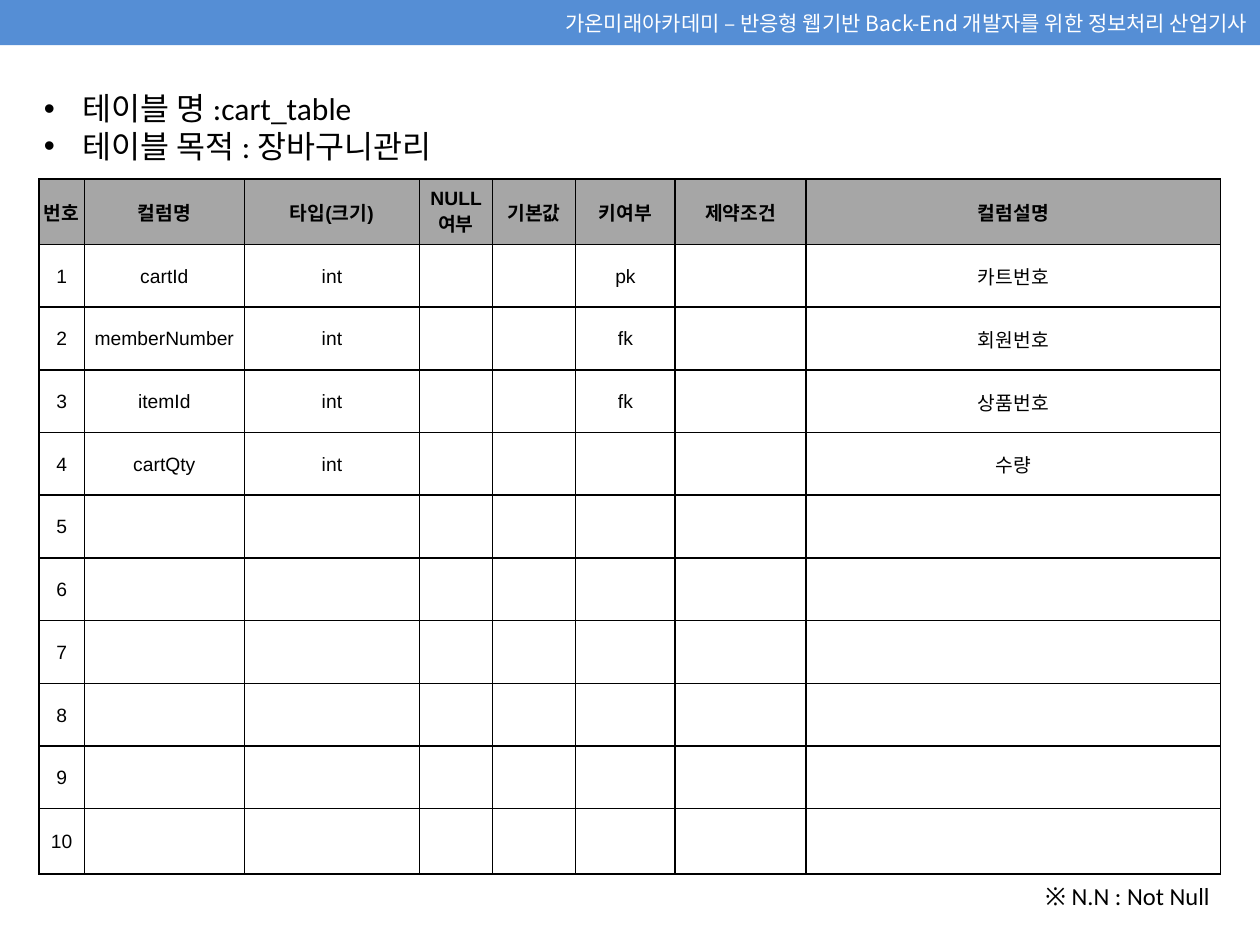
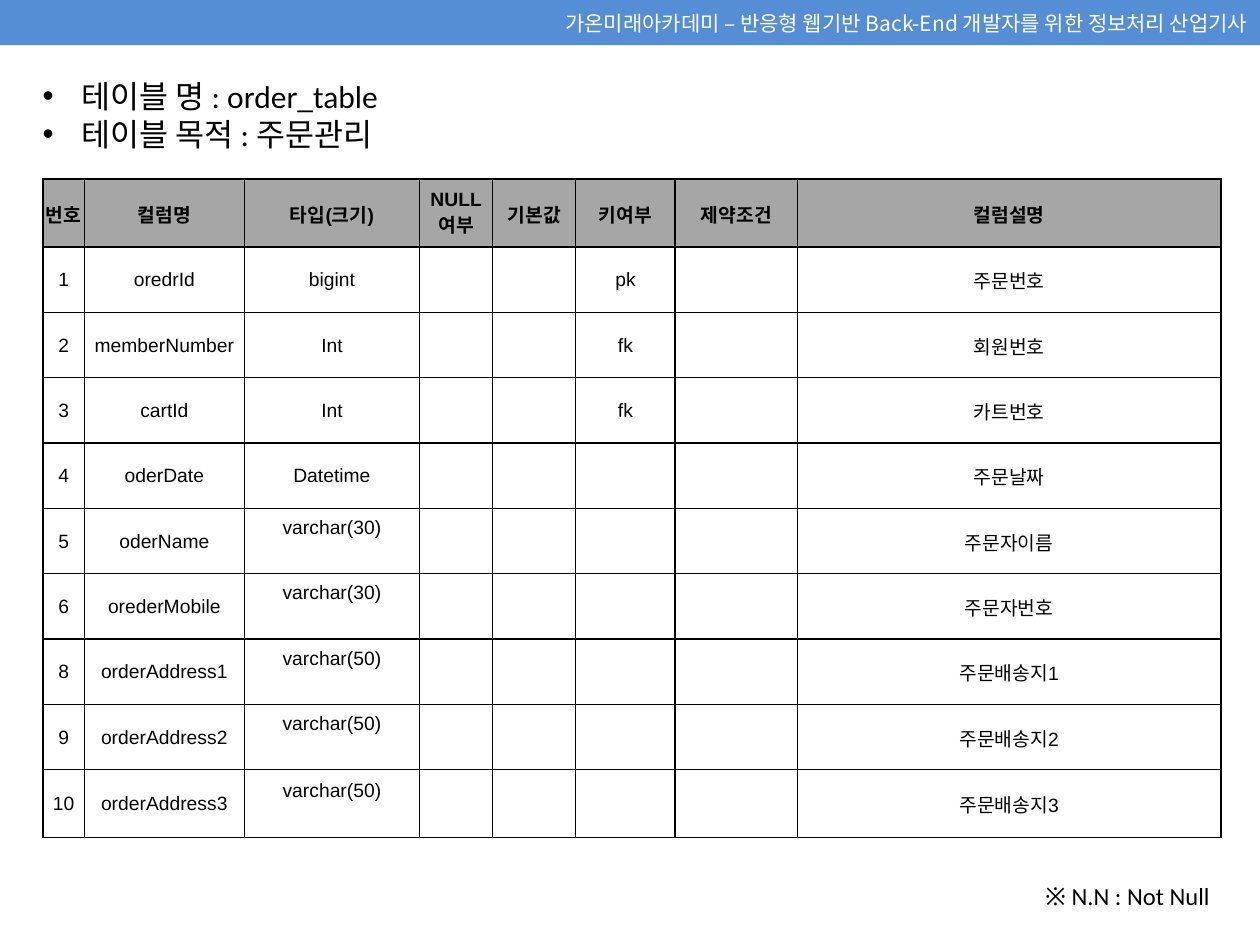
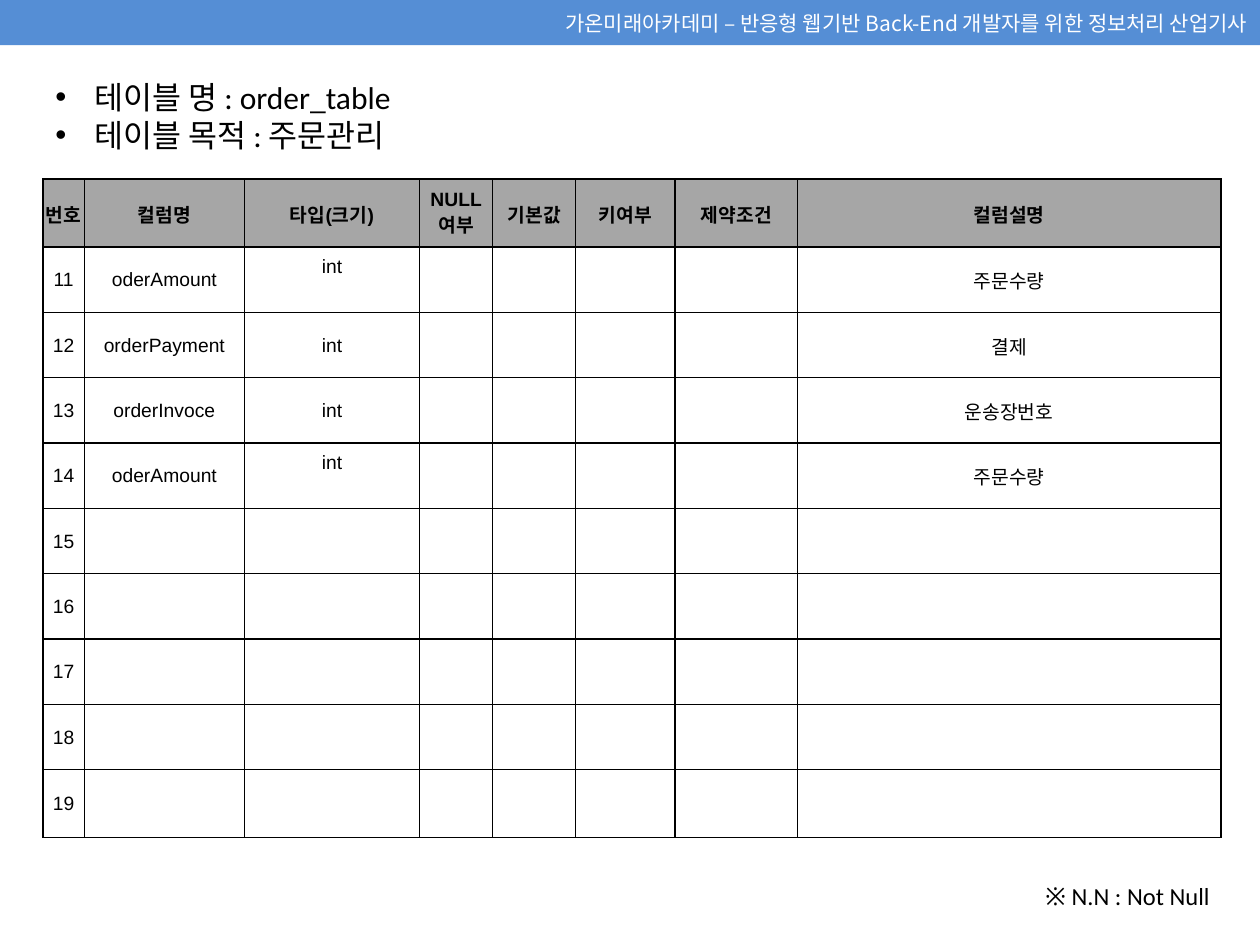
from lxml import etree
from pptx import Presentation
from pptx.dml.color import RGBColor
from pptx.enum.shapes import MSO_SHAPE
from pptx.enum.text import MSO_ANCHOR, MSO_AUTO_SIZE, PP_ALIGN
from pptx.oxml.ns import qn
from pptx.util import Inches, Pt

RECTANGLE = MSO_SHAPE.RECTANGLE
MIDDLE = MSO_ANCHOR.MIDDLE
FIT_SHAPE = MSO_AUTO_SIZE.SHAPE_TO_FIT_TEXT
LEFT, CENTER, RIGHT = PP_ALIGN.LEFT, PP_ALIGN.CENTER, PP_ALIGN.RIGHT

COLORS = {"band": "558ED5", "header": "A6A6A6", "text": "000000", "light": "FFFFFF"}
BODY_FONT, TABLE_FONT, KOREAN_FONT = "Calibri", "Arial", "Noto Sans CJK KR"
BLANK_LAYOUT = 6
GRID_COLUMNS, GRID_ROWS = 100, 75
TABLE_TOP = 14.2
TYPE_COLUMN = 2

BAND_TEXT = "가온미래아카데미 – 반응형 웹기반 Back-End 개발자를 위한 정보처리 산업기사"
NOTE_TEXT = "※ N.N : Not Null"
HEADERS = ["번호", "컬럼명", "타입(크기)", "NULL 여부", "기본값", "키여부", "제약조건", "컬럼설명"]

CART_GRID = {"left": 3.1, "height": 55.2, "edge": 5.2,
             "columns": [3.6, 12.7, 13.9, 5.8, 6.6, 7.9, 10.4, 32.9]}
ORDER_GRID = {"left": 3.4, "height": 52.3, "edge": 5.4,
              "columns": [3.3, 12.7, 13.9, 5.8, 6.6, 7.9, 9.7, 33.6]}

PAGES = [
    {"heading": (2.5, 6.6), "lines": ["테이블 명 :cart_table", "테이블 목적 : 장바구니관리"],
     "grid": CART_GRID, "numbers": range(1, 11), "raised": (),
     "fields": [("cartId", "int", "pk", "카트번호"),
                ("memberNumber", "int", "fk", "회원번호"),
                ("itemId", "int", "fk", "상품번호"),
                ("cartQty", "int", "", "수량")]},
    {"heading": (2.4, 5.6), "lines": ["테이블 명 : order_table", "테이블 목적 : 주문관리"],
     "grid": ORDER_GRID, "numbers": [1, 2, 3, 4, 5, 6, 8, 9, 10], "raised": (5, 6, 8, 9, 10),
     "fields": [("oredrId", "bigint", "pk", "주문번호"),
                ("memberNumber", "Int", "fk", "회원번호"),
                ("cartId", "Int", "fk", "카트번호"),
                ("oderDate", "Datetime", "", "주문날짜"),
                ("oderName", "varchar(30)", "", "주문자이름"),
                ("orederMobile", "varchar(30)", "", "주문자번호"),
                ("orderAddress1", "varchar(50)", "", "주문배송지1"),
                ("orderAddress2", "varchar(50)", "", "주문배송지2"),
                ("orderAddress3", "varchar(50)", "", "주문배송지3")]},
    {"heading": (3.4, 5.7), "lines": ["테이블 명 : order_table", "테이블 목적 : 주문관리"],
     "grid": ORDER_GRID, "numbers": range(11, 20), "raised": (11, 14),
     "fields": [("oderAmount", "int", "", "주문수량"),
                ("orderPayment", "int", "", "결제"),
                ("orderInvoce", "int", "", "운송장번호"),
                ("oderAmount", "int", "", "주문수량")]},
]


class SchemaDeck:
    """Holds the deck's style and current page; lengths are grid columns and rows."""

    def __init__(self):
        self.deck = Presentation()
        self.deck.slide_width, self.deck.slide_height = Inches(10), Inches(7.5)
        self.page = None

    def across(self, columns):
        return round(self.deck.slide_width * columns / GRID_COLUMNS)

    def down(self, rows):
        return round(self.deck.slide_height * rows / GRID_ROWS)

    def area(self, left, top, width, height):
        return self.across(left), self.down(top), self.across(width), self.down(height)

    def add_page(self):
        self.page = self.deck.slides.add_slide(self.deck.slide_layouts[BLANK_LAYOUT])

    def add_span(self, para, text, size, font, align=LEFT, color="text", bold=False):
        para.alignment = align
        span = para.add_run()
        span.text = text
        span.font.size, span.font.name, span.font.bold = Pt(size), font, bold
        span.font.color.rgb = RGBColor.from_string(COLORS[color])
        etree.SubElement(span.font._element, qn("a:ea"), typeface=KOREAN_FONT)

    def master_band(self):
        band = self.page.shapes.add_shape(RECTANGLE, *self.area(0, 0, GRID_COLUMNS, 3.6))
        band.shadow.inherit = False
        band.fill.solid()
        band.fill.fore_color.rgb = RGBColor.from_string(COLORS["band"])
        band.line.fill.background()
        band.text_frame.vertical_anchor = MIDDLE
        self.add_span(band.text_frame.paragraphs[0], BAND_TEXT, 12, KOREAN_FONT, RIGHT, "light")
        self.deck.slide_master.element.cSld.spTree.append(band.element)

    def text_box(self, area, lines, size, align=LEFT, bulleted=False):
        frame = self.page.shapes.add_textbox(*self.area(*area)).text_frame
        frame.word_wrap, frame.auto_size = True, FIT_SHAPE
        for index, line in enumerate(lines):
            para = frame.add_paragraph() if index else frame.paragraphs[0]
            self.add_span(para, line, size, BODY_FONT, align)
            if bulleted:
                self.bullet(para)

    def bullet(self, para):
        properties = para._p.get_or_add_pPr()
        indent = self.across(3.1)
        properties.set("marL", str(indent))
        properties.set("indent", str(-indent))
        etree.SubElement(properties, qn("a:buFont"), typeface="Arial")
        etree.SubElement(properties, qn("a:buChar"), char="•")

    def borders(self, cell):
        properties = cell._tc.get_or_add_tcPr()
        for side in ("lnL", "lnR", "lnT", "lnB"):
            line = etree.SubElement(properties, qn(f"a:{side}"), w=str(Pt(1)))
            fill = etree.SubElement(line, qn("a:solidFill"))
            etree.SubElement(fill, qn("a:srgbClr"), val=COLORS["text"])

    def fill_cell(self, cell, text, is_header, is_raised):
        self.borders(cell)
        cell.vertical_anchor = MIDDLE
        cell.margin_left = cell.margin_right = self.across(0.1)
        cell.margin_top = self.down(0.1)
        cell.margin_bottom = self.down(2.2 if is_raised else 0)
        if is_header:
            cell.fill.solid()
            cell.fill.fore_color.rgb = RGBColor.from_string(COLORS["header"])
        else:
            cell.fill.background()
        if text:
            para = cell.text_frame.paragraphs[0]
            self.add_span(para, text, 11, TABLE_FONT, CENTER, bold=is_header)

    def schema_table(self, grid, numbers, fields, raised):
        rows = [HEADERS]
        for index, number in enumerate(numbers):
            name, kind, key, meaning = fields[index] if index < len(fields) else [""] * 4
            rows.append([str(number), name, kind, "", "", key, "", meaning])
        area = self.area(grid["left"], TABLE_TOP, sum(grid["columns"]), grid["height"])
        table = self.page.shapes.add_table(len(rows), len(HEADERS), *area).table
        table.first_row = table.horz_banding = False
        for column, width in zip(table.columns, grid["columns"]):
            column.width = self.across(width)
        inner = (grid["height"] - 2 * grid["edge"]) / (len(rows) - 2)
        for r, texts in enumerate(rows):
            is_edge = r in (0, len(rows) - 1)
            table.rows[r].height = self.down(grid["edge"] if is_edge else inner)
            for c, text in enumerate(texts):
                is_raised = r > 0 and c == TYPE_COLUMN and numbers[r - 1] in raised
                self.fill_cell(table.cell(r, c), text, r == 0, is_raised)


schema = SchemaDeck()
for content in PAGES:
    schema.add_page()
    if content is PAGES[0]:
        schema.master_band()
    schema.text_box((*content["heading"], 94.9, 7.1), content["lines"], 18, bulleted=True)
    schema.schema_table(content["grid"], content["numbers"], content["fields"], content["raised"])
    schema.text_box((81.5, 69.4, 15.5, 3.4), [NOTE_TEXT], 14, RIGHT)
schema.deck.save("out.pptx")
